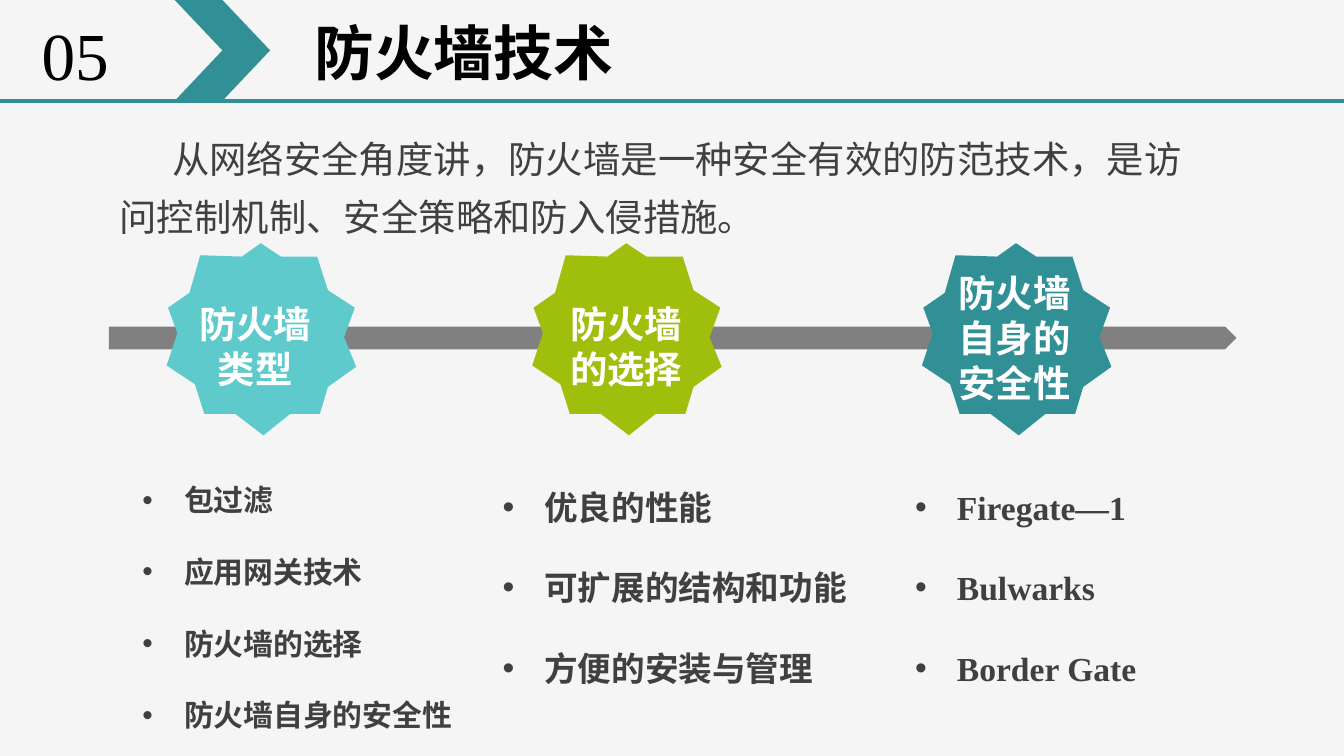
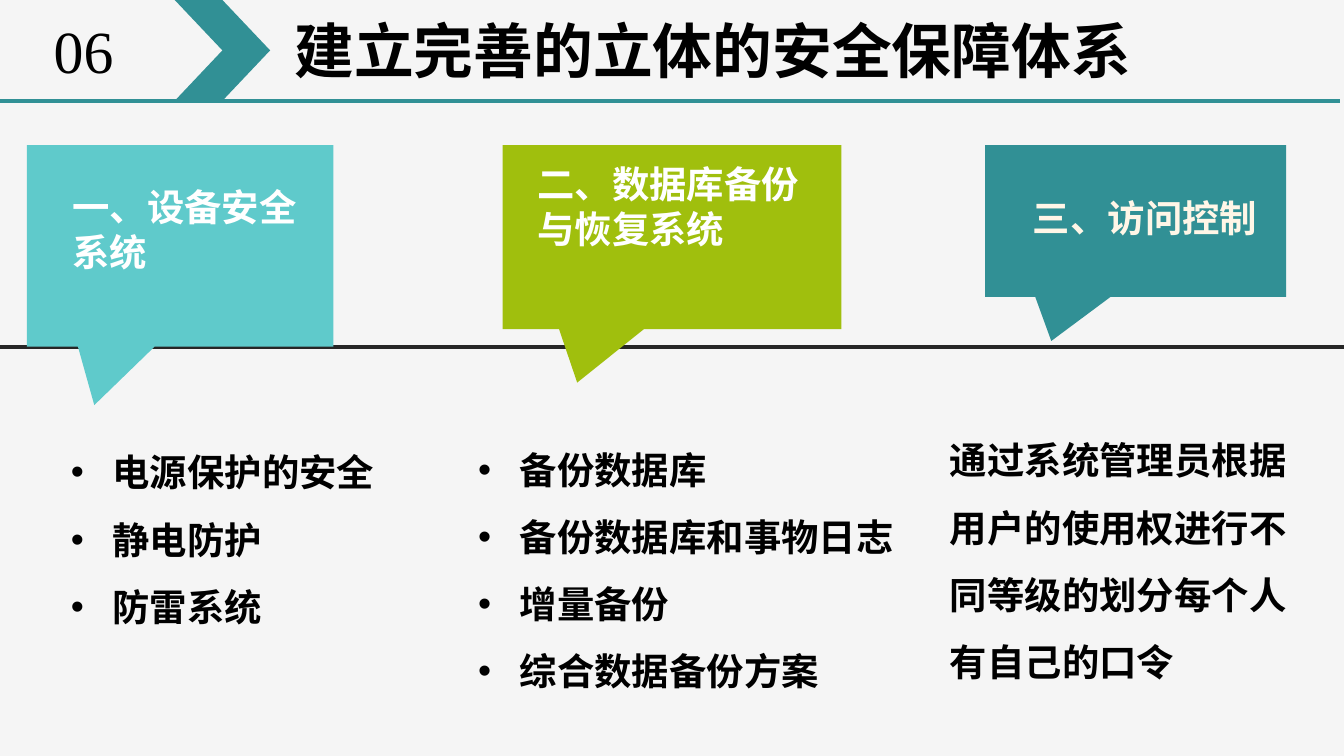
"""Builds two slides on firewall technology and a layered security system."""
from lxml import etree
from pptx import Presentation
from pptx.dml.color import RGBColor
from pptx.enum.shapes import MSO_CONNECTOR, MSO_SHAPE
from pptx.enum.text import MSO_AUTO_SIZE, PP_ALIGN
from pptx.oxml.ns import qn
from pptx.util import Inches, Pt

PAPER = RGBColor(0xF5, 0xF5, 0xF5)
TEAL = RGBColor(0x31, 0x90, 0x95)
AQUA = RGBColor(0x5F, 0xCA, 0xCB)
GREEN = RGBColor(0xA0, 0xBF, 0x0D)
GRAY = RGBColor(0x80, 0x80, 0x80)
CHARCOAL = RGBColor(0x26, 0x26, 0x26)
DARK = RGBColor(0x40, 0x40, 0x40)
BLACK = RGBColor(0, 0, 0)
WHITE = RGBColor(0xFF, 0xFF, 0xFF)
CREAM = RGBColor(0xFF, 0xF6, 0xE7)
FONT = "Times New Roman"
INDENT = 0.31
TIGHT, SNUG, NORMAL, LOOSE = (0.08, 0.04), (0.07, 0.04), (0.1, 0.05), (0.11, 0.06)

FIREWALL_HEADER = {
    "number": ("05", (0.23, 0.06, 0.67, 0.69), 36, TIGHT),
    "title": ("防火墙技术", (2.23, 0.06, 6.62, 0.65), LOOSE),
    "rule_left": 0,
}
FIREWALL_INTRO = "从网络安全角度讲，防火墙是一种安全有效的防范技术，是访问控制机制、安全策略和防入侵措施。"
STAR_POINTS = [
    (1.94, 1.81), (2.09, 1.91), (2.36, 1.91), (2.44, 2.16), (2.64, 2.29),
    (2.56, 2.51), (2.65, 2.73), (2.44, 2.88), (2.38, 3.08), (2.16, 3.08),
    (1.96, 3.24), (1.75, 3.08), (1.52, 3.08), (1.45, 2.86), (1.24, 2.72),
    (1.32, 2.48), (1.25, 2.29), (1.41, 2.18), (1.49, 1.9), (1.8, 1.91),
]
FIREWALL_STARS = [
    ("防火墙类型", AQUA, 0, (1.3, 2.18, 1.2, 0.79)),
    ("防火墙的选择", GREEN, 2.72, (4.06, 2.18, 1.2, 0.79)),
    ("防火墙自身的安全性", TEAL, 5.62, (6.95, 1.95, 1.2, 1.12)),
]
FIREWALL_LISTS = [
    (["包过滤", "应用网关技术", "防火墙的选择", "防火墙自身的安全性"],
     (0.98, 3.28, 2.6, 2.51), 16, True),
    (["优良的性能", "可扩展的结构和功能", "方便的安装与管理"],
     (3.66, 3.28, 2.76, 1.81), 18, False),
    (["Firegate—1", "Bulwarks", "Border Gate"],
     (6.73, 3.28, 1.82, 1.81), 18, False),
]

SYSTEM_HEADER = {
    "number": ("06", (0.33, 0.06, 0.6, 0.61), 32, SNUG),
    "title": ("建立完善的立体的安全保障体系", (2.12, 0.06, 7.36, 0.61), SNUG),
    "rule_left": -0.04,
}
SYSTEM_CALLOUTS = [
    ("一、设备安全系统", AQUA, (0.2, 1.08, 2.28, 1.5),
     (0.44, 1.32, 1.97, 0.77), {"color": WHITE}),
    ("二、数据库备份与恢复系统", GREEN, (3.74, 1.08, 2.52, 1.37),
     (3.9, 1.15, 2.25, 0.77), {"color": WHITE}),
    ("三、访问控制", TEAL, (7.33, 1.08, 2.24, 1.13),
     (7.58, 1.4, 1.88, 0.44),
     {"color": CREAM, "wrap": False, "align": PP_ALIGN.CENTER}),
]
SYSTEM_LISTS = [
    (["电源保护的安全", "静电防护", "防雷系统"],
     (0.43, 3.13, 2.47, 1.61), {"bullet": True, "wrap": False}),
    (["备份数据库", "备份数据库和事物日志", "增量备份", "综合数据备份方案"],
     (3.46, 3.11, 5, 2.12), {"bullet": True}),
    (["通过系统管理员根据用户的使用权进行不同等级的划分每个人有自己的口令"],
     (6.97, 3.04, 2.93, 2.12), {}),
]


def inches(values):
    return [Inches(value) for value in values]


def add_bullet(paragraph):
    properties = paragraph._p.get_or_add_pPr()
    properties.set("marL", str(Inches(INDENT)))
    properties.set("indent", str(-Inches(INDENT)))
    etree.SubElement(properties, qn("a:buFont")).set("typeface", "Arial")
    etree.SubElement(properties, qn("a:buChar")).set("char", "•")


def add_text(slide, lines, box, size=20, color=BLACK, bold=True, inset=NORMAL,
             wrap=True, align=PP_ALIGN.LEFT, spacing=1.0, bullet=False, first_indent=0):
    frame = slide.shapes.add_textbox(*inches(box)).text_frame
    across, down = inches(inset)
    frame_format = {
        "word_wrap": wrap, "auto_size": MSO_AUTO_SIZE.SHAPE_TO_FIT_TEXT,
        "margin_left": across, "margin_right": across,
        "margin_top": down, "margin_bottom": down,
    }
    for attribute, value in frame_format.items():
        setattr(frame, attribute, value)
    for index, line in enumerate(lines):
        paragraph = frame.paragraphs[0] if index == 0 else frame.add_paragraph()
        paragraph.alignment = align
        paragraph.line_spacing = spacing
        if bullet:
            add_bullet(paragraph)
        elif first_indent:
            paragraph._p.get_or_add_pPr().set("indent", str(Inches(first_indent)))
        run = paragraph.add_run()
        run.text = line
        for attribute, value in {"name": FONT, "size": Pt(size), "bold": bold}.items():
            setattr(run.font, attribute, value)
        run.font.color.rgb = color


def paint(shape, color):
    shape.shadow.inherit = False
    shape.fill.solid()
    shape.fill.fore_color.rgb = color
    shape.line.fill.background()


def add_block(slide, kind, box, color):
    block = slide.shapes.add_shape(kind, *inches(box))
    paint(block, color)
    return block


def add_rule(slide, left, right, top, color, width):
    rule = slide.shapes.add_connector(
        MSO_CONNECTOR.STRAIGHT, *inches((left, top, right, top)))
    rule.line.color.rgb = color
    rule.line.width = Pt(width)
    etree.SubElement(rule._element.spPr, qn("a:effectLst"))


def add_star(slide, shift, color):
    start, *rest = [inches((x + shift, y)) for x, y in STAR_POINTS]
    outline = slide.shapes.build_freeform(*start)
    outline.add_line_segments(rest, close=True)
    paint(outline.convert_to_shape(), color)


def add_slide(deck):
    slide = deck.slides.add_slide(deck.slide_layouts[6])
    slide.background.fill.solid()
    slide.background.fill.fore_color.rgb = PAPER
    return slide


def add_header(slide, header):
    left = header["rule_left"]
    add_rule(slide, left, left + 10.01, 0.75, TEAL, 2.25)
    add_block(slide, MSO_SHAPE.CHEVRON, (1.3, 0, 0.71, 0.75), TEAL)
    number, box, size, inset = header["number"]
    add_text(slide, [number], box, size, bold=False, inset=inset, wrap=False)
    title, box, inset = header["title"]
    add_text(slide, [title], box, 32, inset=inset)


def build_firewall(deck):
    slide = add_slide(deck)
    add_block(slide, MSO_SHAPE.PENTAGON, (0.81, 2.43, 8.39, 0.17), GRAY)
    for label, color, shift, box in FIREWALL_STARS:
        add_star(slide, shift, color)
        add_text(slide, [label], box, color=WHITE, inset=LOOSE, align=PP_ALIGN.CENTER)
    for items, box, size, wrap in FIREWALL_LISTS:
        add_text(slide, items, box, size, DARK, inset=TIGHT, wrap=wrap,
                 spacing=2.0, bullet=True)
    add_text(slide, [FIREWALL_INTRO], (0.81, 0.87, 8.31, 0.92), color=DARK,
             bold=False, inset=TIGHT, spacing=1.3, first_indent=0.39)
    add_header(slide, FIREWALL_HEADER)


def build_system(deck):
    slide = add_slide(deck)
    add_rule(slide, -0.02, 10, 2.58, CHARCOAL, 2)
    for label, color, box, label_box, label_format in SYSTEM_CALLOUTS:
        callout = add_block(slide, MSO_SHAPE.RECTANGULAR_CALLOUT, box, color)
        callout.adjustments[0] = -0.28
        callout.adjustments[1] = 0.79
        add_text(slide, [label], label_box, **label_format)
    for items, box, list_format in SYSTEM_LISTS:
        add_text(slide, items, box, spacing=1.5, **list_format)
    add_header(slide, SYSTEM_HEADER)


def main():
    deck = Presentation()
    deck.slide_width = Inches(10)
    deck.slide_height = Inches(10 * 9 / 16)
    build_firewall(deck)
    build_system(deck)
    deck.save("out.pptx")


if __name__ == "__main__":
    main()
